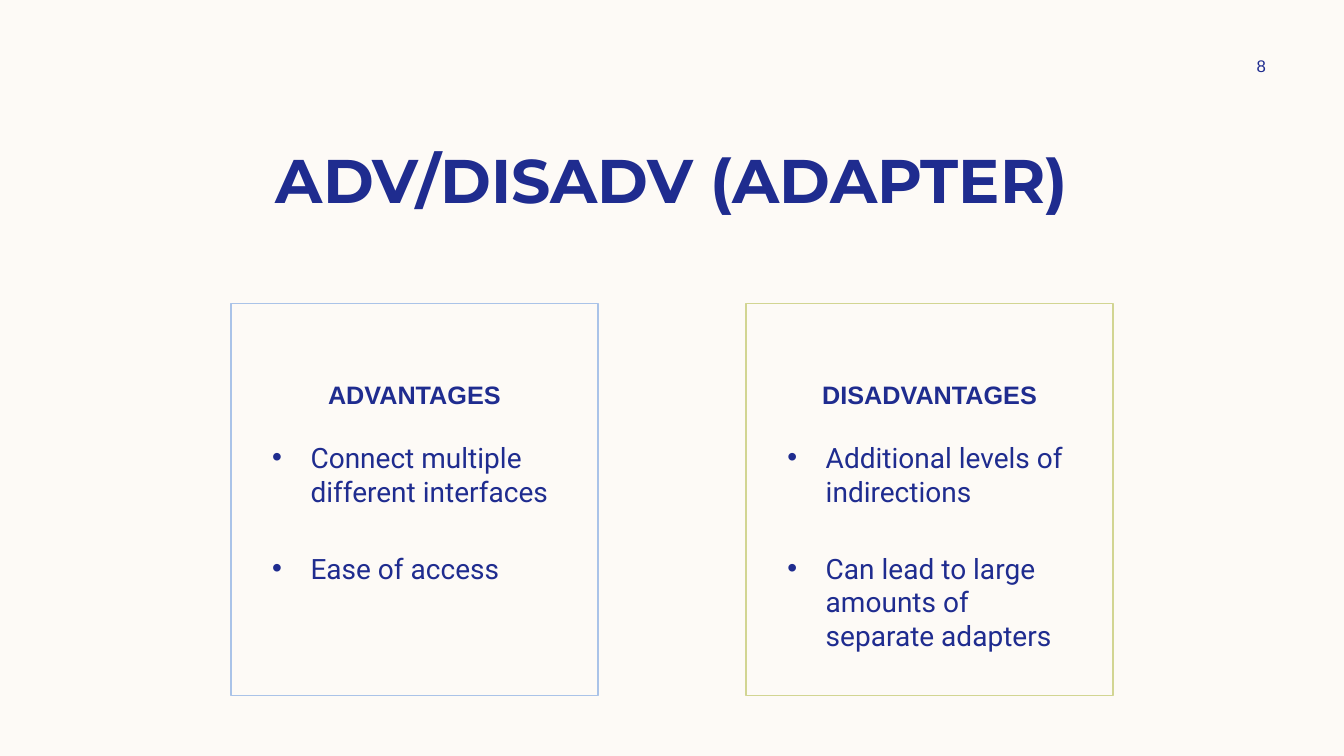
from lxml.etree import SubElement
from pptx import Presentation
from pptx.dml.color import RGBColor
from pptx.enum.text import MSO_ANCHOR as Anchor, MSO_AUTO_SIZE as AutoSize, PP_ALIGN as Align
from pptx.oxml.ns import qn
from pptx.util import Inches, Pt

NAVY = "1F2C8F"
CREAM = "FDFAF6"
COLUMNS = [
    (2.29, "AAC3E8", "ADVANTAGES",
     ["Connect multiple different interfaces", "Ease of access"]),
    (7.4, "D2D592", "DISADVANTAGES",
     ["Additional levels of indirections", "Can lead to large amounts of separate adapters"]),
]


def rgb(color):
    return RGBColor.from_string(color)


def place(sp, left, top, width, height):
    sp.left, sp.top = Inches(left), Inches(top)
    sp.width, sp.height = Inches(width), Inches(height)


def set_frame(tf, anchor=Anchor.TOP, inset_top=0.05):
    tf.word_wrap = True
    tf.auto_size = AutoSize.NONE
    tf.vertical_anchor = anchor
    tf.margin_left = tf.margin_right = Inches(0.1)
    tf.margin_top, tf.margin_bottom = Inches(inset_top), Inches(0.05)


def write(p, text, font="Arial", size=18, bold=False, align=Align.CENTER, before=0):
    p.alignment = align
    p.space_before = Pt(before)
    r = p.add_run()
    r.text = text
    r.font.name, r.font.size, r.font.bold = font, Pt(size), bold
    r.font.color.rgb = rgb(NAVY)


def add_bullet(p, indent=0.38):
    pPr = p._p.get_or_add_pPr()
    pPr.set("marL", str(Inches(indent)))
    pPr.set("indent", str(-Inches(indent)))
    SubElement(pPr, qn("a:buFont")).set("typeface", "Arial")
    SubElement(pPr, qn("a:buChar")).set("char", "•")


def fill_title(sp, text):
    place(sp, 0.83, 1.35, 11.67, 0.84)
    set_frame(sp.text_frame, Anchor.MIDDLE)
    write(sp.text_frame.paragraphs[0], text, font="Montserrat", size=44, bold=True)


def fill_card(sp, left, color, heading):
    place(sp, left, 3.01, 3.64, 3.89)
    sp.line.color.rgb = rgb(color)
    sp.line.width = Pt(1)
    set_frame(sp.text_frame, inset_top=0.75)
    write(sp.text_frame.paragraphs[0], heading, bold=True)


def fill_list(sp, left, items):
    place(sp, left, 4.32, 3.03, 2.41)
    tf = sp.text_frame
    set_frame(tf)
    for i, item in enumerate(items):
        p = tf.add_paragraph() if i else tf.paragraphs[0]
        add_bullet(p)
        write(p, item, font="Roboto", size=20, align=Align.LEFT, before=31 if i else 0)


def add_page_number(s, number):
    sp = s.shapes.add_textbox(Inches(11.97), Inches(0.5), Inches(1.08), Inches(0.3))
    set_frame(sp.text_frame, Anchor.MIDDLE)
    write(sp.text_frame.paragraphs[0], number, size=12)


def main():
    prs = Presentation()
    prs.slide_width, prs.slide_height = Inches(13.33), Inches(7.5)
    s = prs.slides.add_slide(prs.slide_layouts.get_by_name("Comparison"))
    s.background.fill.solid()
    s.background.fill.fore_color.rgb = rgb(CREAM)

    title, *bodies = s.placeholders
    fill_title(title, "ADV/DISADV (ADAPTER)")
    add_page_number(s, "8")
    for (left, color, heading, items), card, points in zip(COLUMNS, bodies[::2], bodies[1::2]):
        fill_card(card, left, color, heading)
        fill_list(points, left + 0.31, items)
    prs.save("out.pptx")


if __name__ == "__main__":
    main()
